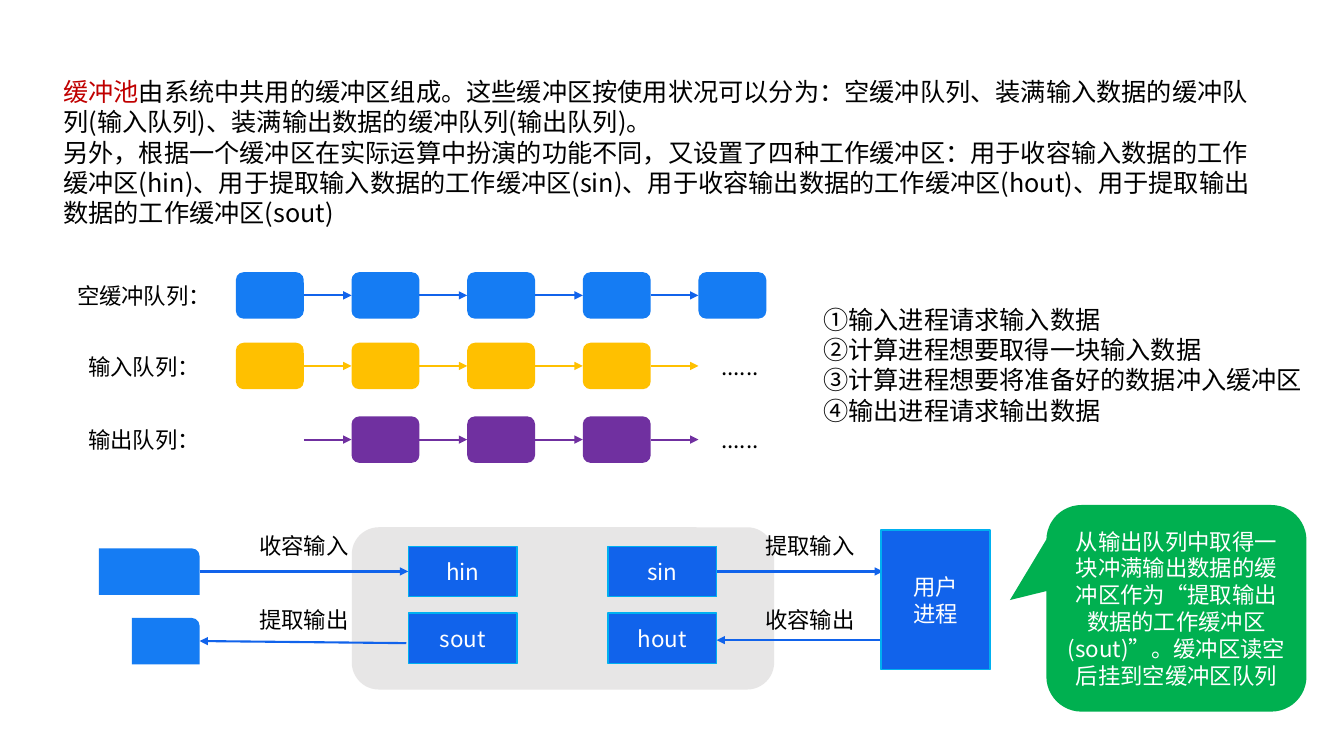
from pptx import Presentation
from pptx.dml.color import RGBColor
from pptx.enum.shapes import MSO_CONNECTOR, MSO_SHAPE
from pptx.enum.text import MSO_ANCHOR, PP_ALIGN
from pptx.oxml.ns import qn
from pptx.util import Pt
from lxml.etree import SubElement

BLACK = RGBColor(0x00, 0x00, 0x00)
WHITE = RGBColor(0xFF, 0xFF, 0xFF)
RED = RGBColor(0xC0, 0x00, 0x00)
BLUE = RGBColor(0x15, 0x7C, 0xF3)
DEEP = RGBColor(0x11, 0x63, 0xEB)
CYAN = RGBColor(0x00, 0xB0, 0xF0)
GOLD = RGBColor(0xFF, 0xC0, 0x00)
PURPLE = RGBColor(0x70, 0x30, 0xA0)
GREEN = RGBColor(0x00, 0xB0, 0x50)
GRAY = RGBColor(0xE7, 0xE6, 0xE6)

# Queue grid, in points
LEFT, STEP = 168.5, 82.6
WIDE, HIGH = 48.5, 33.2


def write(frame, paras, font, size=16, color=BLACK,
          align=PP_ALIGN.CENTER, anchor=MSO_ANCHOR.TOP):
    """Fill a frame; a paragraph is a string or a list of (text, color)."""
    frame.word_wrap = True
    frame.vertical_anchor = anchor
    for i, item in enumerate(paras):
        para = frame.paragraphs[0] if i == 0 else frame.add_paragraph()
        para.alignment = align
        para.line_spacing = Pt(size * 1.2)
        for text, tint in [(item, color)] if isinstance(item, str) else item:
            run = para.add_run()
            run.text = text
            run.font.size = Pt(size)
            run.font.name = font
            run.font.color.rgb = tint
            SubElement(run.font._element, qn("a:ea")).set("typeface", font)


class Board:
    def __init__(self, slide, font):
        self.slide = slide
        self.font = font

    def text(self, x, y, w, h, *paras, **style):
        box = self.slide.shapes.add_textbox(Pt(x), Pt(y), Pt(w), Pt(h))
        write(box.text_frame, paras, self.font, **style)

    def shape(self, kind, x, y, w, h, fill, *paras, edge=None, adjust=()):
        item = self.slide.shapes.add_shape(kind, Pt(x), Pt(y), Pt(w), Pt(h))
        item.shadow.inherit = False
        item.fill.solid()
        item.fill.fore_color.rgb = fill
        if edge is None:
            item.line.fill.background()
        else:
            item.line.color.rgb = edge
            item.line.width = Pt(1)
        for i, value in enumerate(adjust):
            item.adjustments[i] = value
        if paras:
            write(item.text_frame, paras, self.font, color=WHITE,
                  anchor=MSO_ANCHOR.MIDDLE)

    def arrow(self, x1, y1, x2, y2, color=DEEP):
        line = self.slide.shapes.add_connector(
            MSO_CONNECTOR.STRAIGHT, Pt(x1), Pt(y1), Pt(x2), Pt(y2))
        line.line.color.rgb = color
        line.line.width = Pt(1.5)
        SubElement(line.line._get_or_add_ln(), qn("a:tailEnd")).set("type", "triangle")
        SubElement(line._element.spPr, qn("a:effectLst"))

    def queue(self, name, y, fill, stroke, first, last, more):
        """One row: boxes from column first to last, four arrows at most."""
        self.text(37.4, y + 3.6, 131, 26.6, name)
        for col in range(5):
            x = LEFT + col * STEP
            if first <= col <= last:
                self.shape(MSO_SHAPE.ROUNDED_RECTANGLE, x, y, WIDE, HIGH, fill)
            if col < 4:
                mid = y + HIGH / 2
                self.arrow(x + WIDE, mid, x + STEP, mid, stroke)
        if more:
            self.text(504, y + 3.6, 49, 26.6, "......")


def main():
    deck = Presentation()
    deck.slide_width, deck.slide_height = Pt(960), Pt(540)
    slide = deck.slides.add_slide(deck.slide_layouts[6])
    board = Board(slide, "Noto Sans CJK SC")

    # Introduction
    board.text(
        38.2, 51.1, 871.2, 116,
        [("缓冲池", RED),
         ("由系统中共用的缓冲区组成。这些缓冲区按使用状况可以分为：空缓冲队列、"
          "装满输入数据的缓冲队列(输入队列)、装满输出数据的缓冲队列(输出队列)。", BLACK)],
        "另外，根据一个缓冲区在实际运算中扮演的功能不同，又设置了四种工作缓冲区："
        "用于收容输入数据的工作缓冲区(hin)、用于提取输入数据的工作缓冲区(sin)、"
        "用于收容输出数据的工作缓冲区(hout)、用于提取输出数据的工作缓冲区(sout)",
        size=18, align=PP_ALIGN.LEFT)

    # Three queues
    board.queue("空缓冲队列：", 194.4, BLUE, DEEP, 0, 4, False)
    board.queue("输入队列：", 244.8, GOLD, GOLD, 0, 3, True)
    board.queue("输出队列：", 297.4, PURPLE, PURPLE, 1, 3, True)

    # Four requests
    board.text(581, 213.8, 361.4, 94.3,
               "①输入进程请求输入数据", "②计算进程想要取得一块输入数据",
               "③计算进程想要将准备好的数据冲入缓冲区", "④输出进程请求输出数据",
               size=18, align=PP_ALIGN.LEFT)

    # Pool with its work buffers
    board.shape(MSO_SHAPE.ROUNDED_RECTANGLE, 251.3, 376.6, 301.7, 115.9, GRAY)
    for row, names in enumerate([("hin", "sin"), ("sout", "hout")]):
        for col, name in enumerate(names):
            board.shape(MSO_SHAPE.RECTANGLE, 291.6 + col * 142.6, 390.2 + row * 47.6,
                        77.8, 36, DEEP, name, edge=CYAN)

    # Input and output blocks
    for x, y, w in [(70.6, 391.7, 72), (94.3, 441.4, 48.3)]:
        board.shape(MSO_SHAPE.ROUND_1_RECTANGLE, x, y, w, HIGH, BLUE)

    # User process and data flow
    board.arrow(142.6, 408.2, 291.6, 408.2)
    board.arrow(290.2, 459.4, 142.6, 457.9)
    board.arrow(511.9, 408.2, 630.7, 408.2)
    board.arrow(630.7, 457.2, 511.9, 457.2)
    board.shape(MSO_SHAPE.RECTANGLE, 629.3, 378.7, 77.8, 99.4, DEEP,
                "用户", "进程", edge=CYAN)
    for x, names in [(162.7, ("收容输入", "提取输出")), (524.2, ("提取输入", "收容输出"))]:
        for row, name in enumerate(names):
            board.text(x, 376.6 + row * 52.5, 108.7, 26.6, name)

    # Callout
    board.shape(MSO_SHAPE.ROUNDED_RECTANGULAR_CALLOUT, 747.4, 360.7, 185.8, 147.6, GREEN,
                "从输出队列中取得一块冲满输出数据的缓冲区作为“提取输出数据的工作缓冲区(sout)”。"
                "缓冲区读空后挂到空缓冲区队列", adjust=(-0.64, -0.04, 0.17))

    deck.save("out.pptx")


if __name__ == "__main__":
    main()
